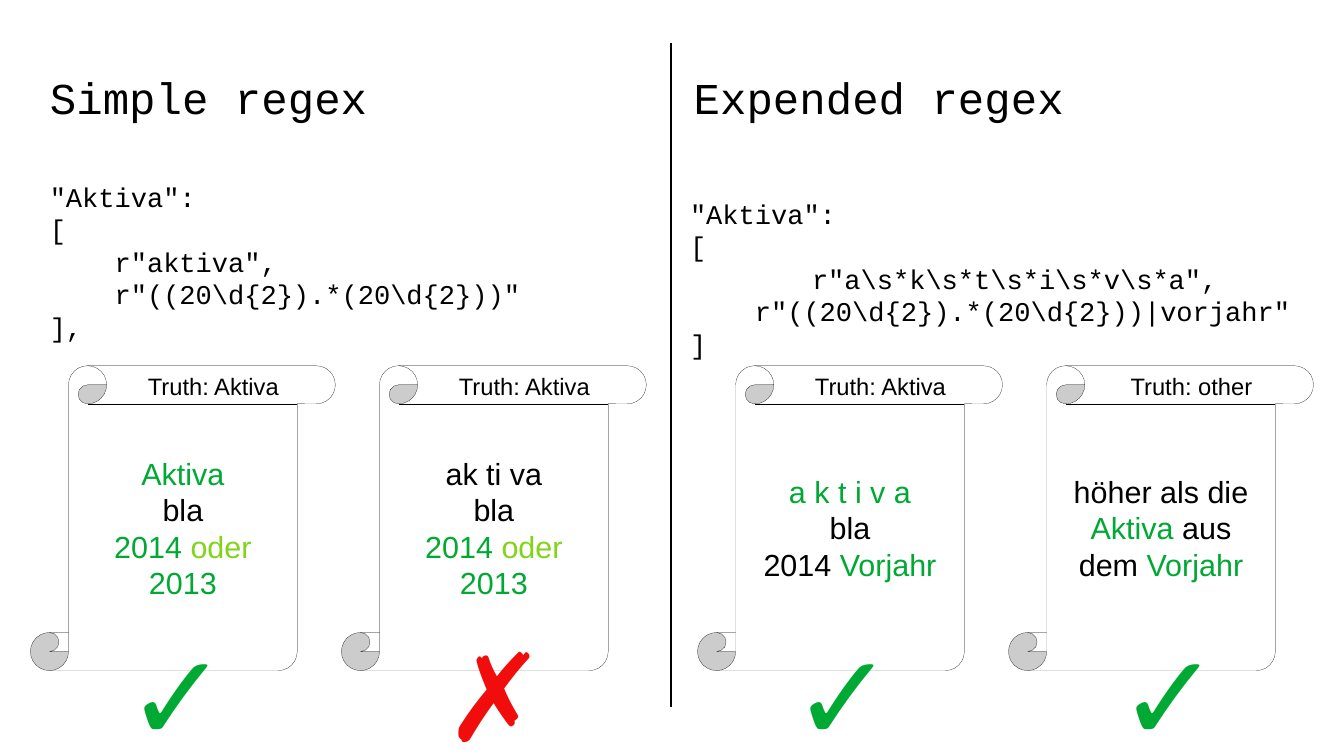
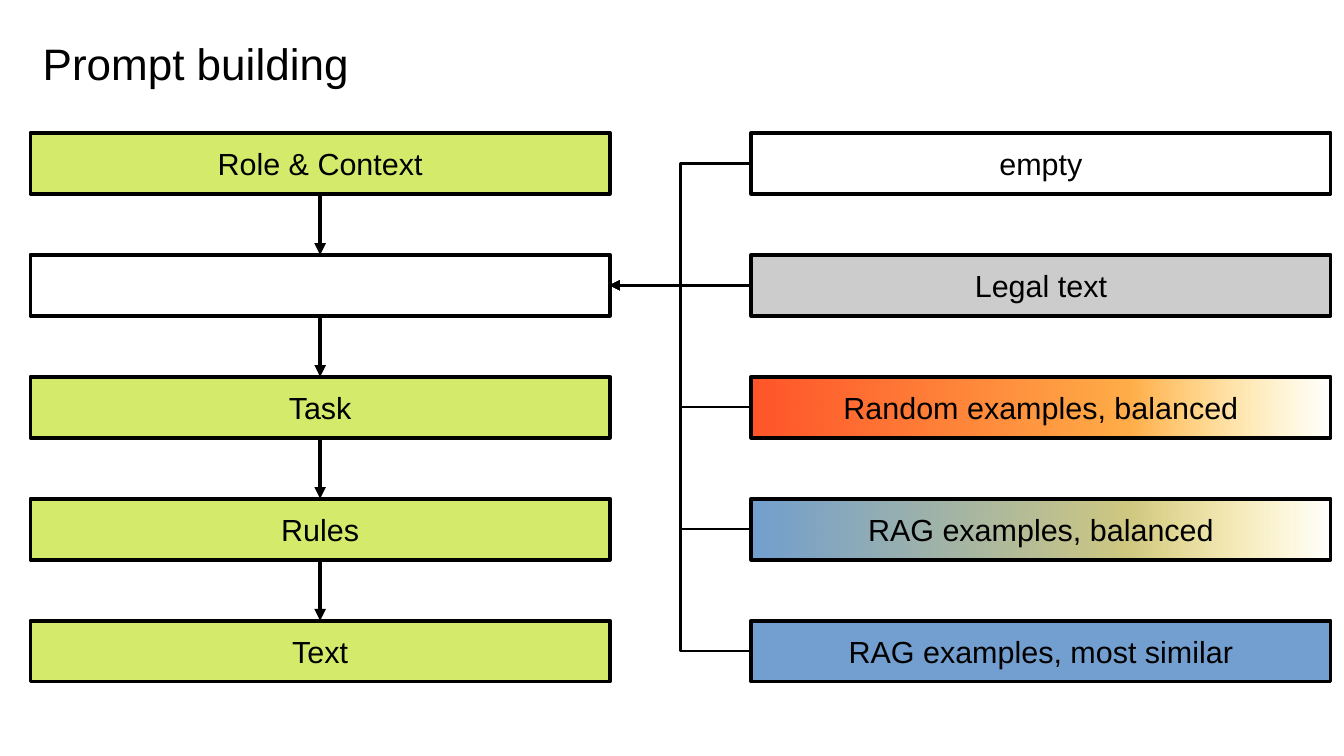
from itertools import pairwise

from lxml.etree import SubElement
from pptx import Presentation
from pptx.dml.color import RGBColor
from pptx.enum.shapes import MSO_CONNECTOR, MSO_SHAPE
from pptx.enum.text import MSO_ANCHOR, MSO_AUTO_SIZE, PP_ALIGN
from pptx.oxml.ns import qn
from pptx.util import Inches, Pt

SLIDE_WIDTH, SLIDE_HEIGHT = 11.02, 6.2
MARGIN = 0.25
SANS, MONO = "Arial", "Courier New"
TITLE_SIZE, BODY_SIZE, CODE_SIZE, CAPTION_SIZE, MARK_SIZE = 26, 18, 16, 14, 72
COLORS = {
    "ink": "000000",
    "paper": "FFFFFF",
    "match": "00A933",
    "partial": "81D41A",
    "wrong": "F10D0C",
    "lime": "D4EA6B",
    "grey": "CCCCCC",
    "blue": "729FCF",
    "red": "FF5429",
    "orange": "FFAD48",
    "olive": "CFC881",
    "yellow": "FFDE59",
}
TOP, LEFT, BOTTOM, RIGHT = range(4)

SCROLL_SIZE, SCROLL_STEP, SCROLL_TOP = 2.5, 2.55, 3
BAR_WIDTH, BAR_HEIGHT, BAR_TOP, BAR_STEP = 4.75, 0.5, 1.09, 1
BAR_LINE, THIN_LINE, HAIRLINE = 2.3, 1.5, 0.1


def rgb(name):
    return RGBColor.from_string(COLORS[name])


def inches(*lengths):
    return [Inches(length) for length in lengths]


def write_text(box, paragraphs, size=BODY_SIZE, font=SANS, color="ink",
               align=PP_ALIGN.LEFT, anchor=MSO_ANCHOR.TOP, wrap=True):
    """Fill a box; a paragraph is a string or a list of (text, color) spans."""
    frame = box.text_frame
    frame.word_wrap = wrap
    frame.auto_size = MSO_AUTO_SIZE.NONE
    frame.vertical_anchor = anchor
    frame.margin_left, frame.margin_right = inches(0.1, 0.1)
    frame.margin_top, frame.margin_bottom = inches(0.05, 0.05)
    for number, content in enumerate(paragraphs):
        para = frame.add_paragraph() if number else frame.paragraphs[0]
        para.alignment = align
        spans = [(content, color)] if isinstance(content, str) else content
        if spans[0][0].startswith("\t"):
            tabs = SubElement(para._p.get_or_add_pPr(), qn("a:tabLst"))
            SubElement(tabs, qn("a:tab"), pos=str(Inches(1)), algn="l")
        for text, span_color in spans:
            span = para.add_run()
            span.text = text
            span.font.size = Pt(size)
            span.font.name = font
            span.font.color.rgb = rgb(span_color)


def add_text(page, bounds, paragraphs, **text_format):
    box = page.shapes.add_textbox(*inches(*bounds))
    write_text(box, paragraphs, **text_format)


def add_title(page, bounds, text, **text_format):
    title = page.shapes.title
    title.left, title.top, title.width, title.height = inches(*bounds)
    write_text(title, [text], size=TITLE_SIZE, **text_format)


def add_outlined(page, kind, bounds, fill, width):
    """Add a black-edged shape; a list as fill is a (share, color, opacity) gradient."""
    shape = page.shapes.add_shape(kind, *inches(*bounds))
    shape.shadow.inherit = False
    shape.line.color.rgb = rgb("ink")
    shape.line.width = Pt(width)
    if isinstance(fill, str):
        shape.fill.solid()
        shape.fill.fore_color.rgb = rgb(fill)
    else:
        shape.fill.gradient()
        shape.fill.gradient_angle = 0
        stops = shape._element.spPr.find(qn("a:gradFill")).find(qn("a:gsLst"))
        for stop in list(stops):
            stops.remove(stop)
        for share, color, opacity in fill:
            stop = SubElement(stops, qn("a:gs"), pos=str(share * 1000))
            tone = SubElement(stop, qn("a:srgbClr"), val=COLORS[color])
            if opacity < 100:
                SubElement(tone, qn("a:alpha"), val=str(opacity * 1000))
    return shape


def add_line(page, kind, width, start=(0, 0), end=(0, 0), joins=None, arrow=False):
    """Draw from start to end, or between two (shape, side) joins."""
    line = page.shapes.add_connector(kind, *inches(*start, *end))
    if joins:
        line.begin_connect(*joins[0])
        line.end_connect(*joins[1])
    line.line.color.rgb = rgb("ink")
    line.line.width = Pt(width)
    if arrow:
        SubElement(line.line._get_or_add_ln(), qn("a:tailEnd"), type="triangle")
    SubElement(line._element.spPr, qn("a:effectLst"))


def add_scroll(page, left, caption, paragraphs, mark, mark_color, mark_shift):
    """Draw a document scroll with its truth label and its verdict mark."""
    scroll = add_outlined(page, MSO_SHAPE.VERTICAL_SCROLL,
                          (left, SCROLL_TOP, SCROLL_SIZE, SCROLL_SIZE), "paper", HAIRLINE)
    write_text(scroll, paragraphs, align=PP_ALIGN.CENTER, anchor=MSO_ANCHOR.MIDDLE)
    add_text(page, (left + 0.81, SCROLL_TOP, 1.38, 0.32), [caption],
             size=CAPTION_SIZE, align=PP_ALIGN.CENTER, wrap=False)
    add_text(page, (left + mark_shift, 5.03, 0.31, 1.22), [mark],
             size=MARK_SIZE, color=mark_color, wrap=False)


def add_regex_half(page, left, code_top, code, scroll_left, scrolls):
    add_text(page, (left, code_top, 5.19, 1.36), code,
             size=CODE_SIZE, font=MONO, wrap=False)
    for column, scroll in enumerate(scrolls):
        add_scroll(page, scroll_left + column * SCROLL_STEP, *scroll)


def build_regex_page(page):
    years = [("2014", "match"), (" oder ", "partial"), ("2013", "match")]
    add_title(page, (0.31, 0.53, 4.94, 0.51), "Simple regex", font=MONO)
    add_text(page, (5.59, 0.53, 4.94, 0.51), ["Expended regex"],
             size=TITLE_SIZE, font=MONO)
    add_line(page, MSO_CONNECTOR.STRAIGHT, THIN_LINE, start=(5.5, 0.35), end=(5.5, 5.8))
    add_regex_half(
        page, 0.31, 1.43,
        ['"Aktiva":', "[", '    r"aktiva",', r'    r"((20\d{2}).*(20\d{2}))"', "],"],
        MARGIN,
        [
            ("Truth: Aktiva", [[("Aktiva", "match")], "bla", years], "✓", "match", 0.69),
            ("Truth: Aktiva", ["ak ti va", "bla", years], "✗", "wrong", 0.75),
        ])
    add_regex_half(
        page, 5.56, 1.57,
        ['"Aktiva":', "[", "\t" + r'r"a\s*k\s*t\s*i\s*v\s*a",',
         r'    r"((20\d{2}).*(20\d{2}))|vorjahr"', "]"],
        5.72,
        [
            ("Truth: Aktiva",
             [[("a k t i v a", "match")], "bla", [("2014 ", "ink"), ("Vorjahr", "match")]],
             "✓", "match", 0.68),
            ("Truth: other",
             [[("höher als die ", "ink"), ("Aktiva", "match"),
               (" aus dem ", "ink"), ("Vorjahr", "match")]],
             "✓", "match", 0.8),
        ])


def add_bar_column(page, left, bars):
    """Stack labelled bars at the shared row step and return them."""
    shapes = []
    for row, (label, fill) in enumerate(bars):
        bounds = (left, BAR_TOP + row * BAR_STEP, BAR_WIDTH, BAR_HEIGHT)
        shape = add_outlined(page, MSO_SHAPE.RECTANGLE, bounds, fill, BAR_LINE)
        if label:
            write_text(shape, [label], align=PP_ALIGN.CENTER, anchor=MSO_ANCHOR.MIDDLE)
        shapes.append(shape)
    return shapes


def build_prompt_page(page):
    add_title(page, (MARGIN, 0.25, 8.25, 0.5), "Prompt building")
    steps = add_bar_column(page, MARGIN, [
        ("Role & Context", "lime"),
        ("", "paper"),
        ("Task", "lime"),
        ("Rules", "lime"),
        ("Text", "lime"),
    ])
    options = add_bar_column(page, 6.16, [
        ("empty", "paper"),
        ("Legal text", "grey"),
        ("Random examples, balanced",
         [(0, "red", 100), (65, "orange", 100), (100, "yellow", 0)]),
        ("RAG examples, balanced",
         [(0, "blue", 100), (65, "olive", 100), (100, "yellow", 0)]),
        ("RAG examples, most similar", "blue"),
    ])
    for upper, lower in pairwise(steps):
        add_line(page, MSO_CONNECTOR.STRAIGHT, BAR_LINE,
                 joins=((upper, BOTTOM), (lower, TOP)), arrow=True)
    slot = steps[1]
    for option in options:
        level = option.top == slot.top
        add_line(page, MSO_CONNECTOR.STRAIGHT if level else MSO_CONNECTOR.ELBOW,
                 THIN_LINE, joins=((option, LEFT), (slot, RIGHT)), arrow=True)


def main():
    deck = Presentation()
    deck.slide_width, deck.slide_height = inches(SLIDE_WIDTH, SLIDE_HEIGHT)
    title_only = deck.slide_layouts.get_by_name("Title Only")
    for build_page in (build_regex_page, build_prompt_page):
        build_page(deck.slides.add_slide(title_only))
    deck.save("out.pptx")


if __name__ == "__main__":
    main()
